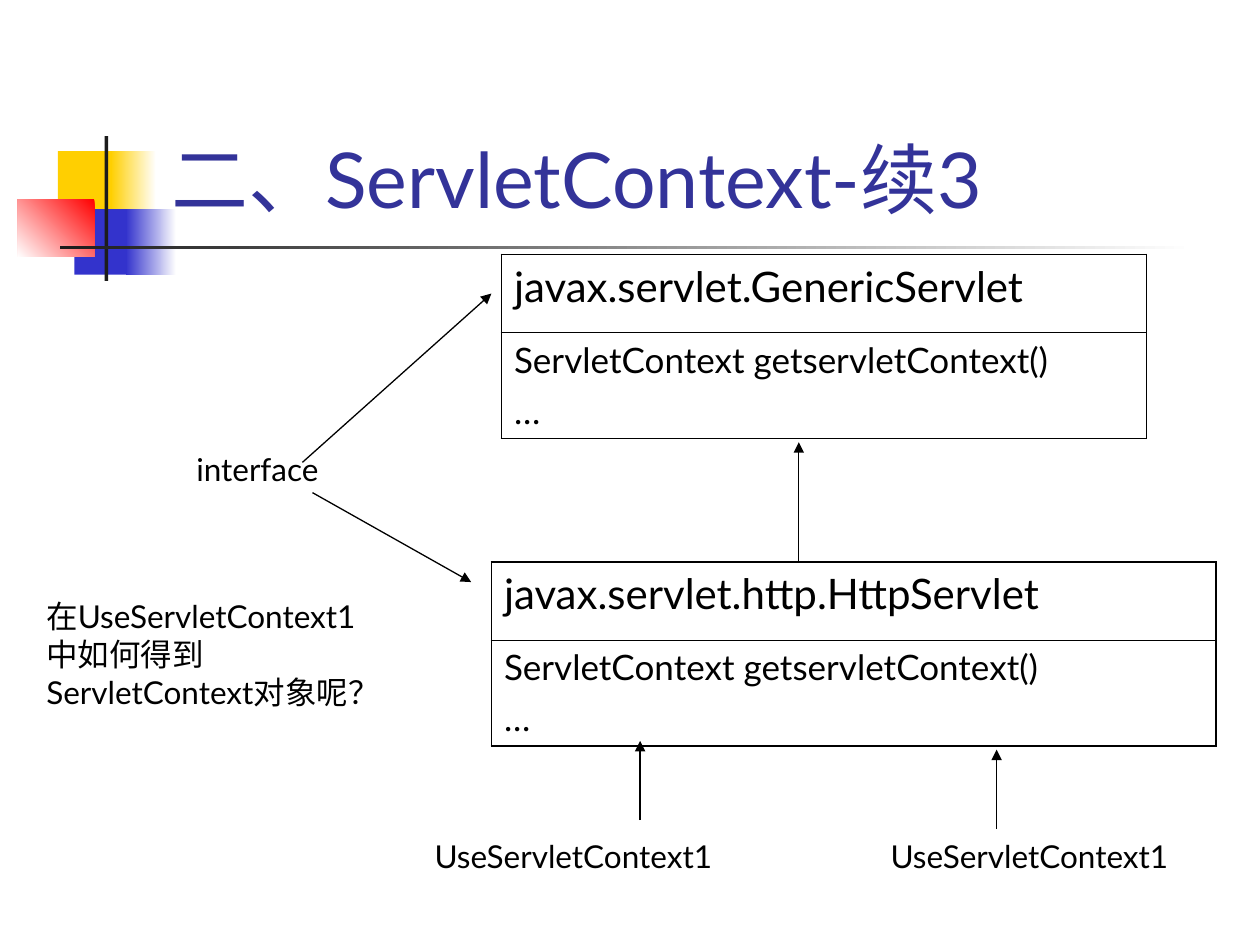
from lxml import etree
from pptx import Presentation
from pptx.dml.color import RGBColor
from pptx.enum.shapes import MSO_CONNECTOR as Conn, MSO_SHAPE as Form
from pptx.enum.text import MSO_ANCHOR as Anchor
from pptx.oxml.ns import qn
from pptx.util import Inches, Pt

FONT = "Lato"
BLACK = "000000"
WHITE = "FFFFFF"
YELLOW, BLUE, RED, DARK = "FFCF01", "3333CC", "FF0000", "1C1C1C"


def color(code):
    return RGBColor.from_string(code)


def write(frame, text, size=18, ink=BLACK, gap=0):
    """Write one paragraph per line, with gap points between them."""
    frame.word_wrap = True
    for i, line in enumerate(text.split("\n")):
        para = frame.add_paragraph() if i else frame.paragraphs[0]
        if i:
            para.space_before = Pt(gap)
        run = para.add_run()
        run.text = line
        run.font.name = FONT
        run.font.size = Pt(size)
        run.font.color.rgb = color(ink)


def label(slide, x, y, w, h, text, anchor=Anchor.TOP, **look):
    box = slide.shapes.add_textbox(Inches(x), Inches(y), Inches(w), Inches(h))
    box.text_frame.vertical_anchor = anchor
    write(box.text_frame, text, **look)


def block(slide, x, y, w, h, start, end=None, angle=180):
    """Draw a plain rectangle, or one that fades from start to end."""
    shape = slide.shapes.add_shape(
        Form.RECTANGLE, Inches(x), Inches(y), Inches(w), Inches(h))
    shape.shadow.inherit = False
    shape.line.fill.background()
    if end is None:
        shape.fill.solid()
        shape.fill.fore_color.rgb = color(start)
        return
    shape.fill.gradient()
    shape.fill.gradient_angle = angle
    for stop, code in zip(shape.fill.gradient_stops, (start, end)):
        stop.color.rgb = color(code)


def arrow(slide, x1, y1, x2, y2):
    line = slide.shapes.add_connector(
        Conn.STRAIGHT, Inches(x1), Inches(y1), Inches(x2), Inches(y2))
    line.line.color.rgb = color(BLACK)
    line.line.width = Pt(0.75)
    etree.SubElement(line.line._get_or_add_ln(), qn("a:tailEnd"), type="triangle")
    etree.SubElement(line._element.spPr, qn("a:effectLst"))


def border(cell, **widths):
    """Set borders by side; pass the sides in the order L, R, T, B."""
    props = cell._tc.get_or_add_tcPr()
    for side, width in widths.items():
        line = etree.SubElement(props, qn("a:ln" + side), w=str(Pt(width)))
        fill = etree.SubElement(line, qn("a:solidFill"))
        etree.SubElement(fill, qn("a:srgbClr"), val=BLACK)


def class_box(slide, x, y, w, name, members):
    heights = (0.62, 0.84)
    table = slide.shapes.add_table(
        2, 1, Inches(x), Inches(y), Inches(w), Inches(sum(heights))).table
    table.first_row = table.horz_banding = False
    thick, thin = 1.08, 0.45
    rows = ((name, 24, thick, thin), (members, 20, thin, thick))
    for i, (text, size, top, bottom) in enumerate(rows):
        table.rows[i].height = Inches(heights[i])
        cell = table.cell(i, 0)
        border(cell, L=thick, R=thick, T=top, B=bottom)
        cell.fill.background()
        write(cell.text_frame, text, size=size, gap=5)


def emblem(slide, x, y):
    """Draw the fading squares and the crossed bars beside the title."""
    block(slide, x + 0.32, y + 0.12, 0.48, 0.52, YELLOW)
    block(slide, x + 0.74, y + 0.12, 0.36, 0.52, WHITE, YELLOW)
    block(slide, x + 0.45, y + 0.58, 0.46, 0.52, BLUE)
    block(slide, x + 0.86, y + 0.58, 0.4, 0.52, WHITE, BLUE)
    block(slide, x, y + 0.5, 0.61, 0.46, RED, WHITE, angle=225)
    block(slide, x + 0.69, y, 0.03, 1.15, DARK)
    block(slide, x + 0.34, y + 0.87, 9, 0.03, WHITE, DARK)


def classes(slide, x, y):
    members = "ServletContext getservletContext()\n…"
    class_box(slide, x + 0.08, y, 5.12, "javax.servlet.GenericServlet", members)
    class_box(slide, x, y + 2.44, 5.75, "javax.servlet.http.HttpServlet", members)
    arrow(slide, x + 2.44, y + 2.44, x + 2.44, y + 1.49)


def interface(slide, x, y):
    label(slide, x, y, 1.73, 0.4, "interface")
    arrow(slide, x + 1.02, y + 0.39, x + 2.28, y + 1.1)
    arrow(slide, x + 0.94, y + 0.15, x + 2.44, y - 1.19)


def users(slide, x, y):
    for left, tip_x, tip_y in ((0, 1.73, -0.71), (3.62, 4.56, -0.64)):
        label(slide, x + left, y, 2.52, 0.4, "UseServletContext1")
        arrow(slide, x + tip_x, y + tip_y + 0.63, x + tip_x, y + tip_y)


def main():
    deck = Presentation()
    deck.slide_width, deck.slide_height = Inches(10), Inches(7.5)
    slide = deck.slides.add_slide(deck.slide_layouts[6])
    emblem(slide, 0.14, 1.08)
    label(slide, 1.26, 0.23, 8.52, 1.6, "二、ServletContext-续3",
          anchor=Anchor.BOTTOM, size=44, ink="333399")
    classes(slide, 3.9, 2.02)
    interface(slide, 1.46, 3.52)
    label(slide, 0.27, 4.69, 2.84, 1,
          "在UseServletContext1中如何得到ServletContext对象呢？")
    users(slide, 3.35, 6.59)
    deck.save("out.pptx")


if __name__ == "__main__":
    main()
